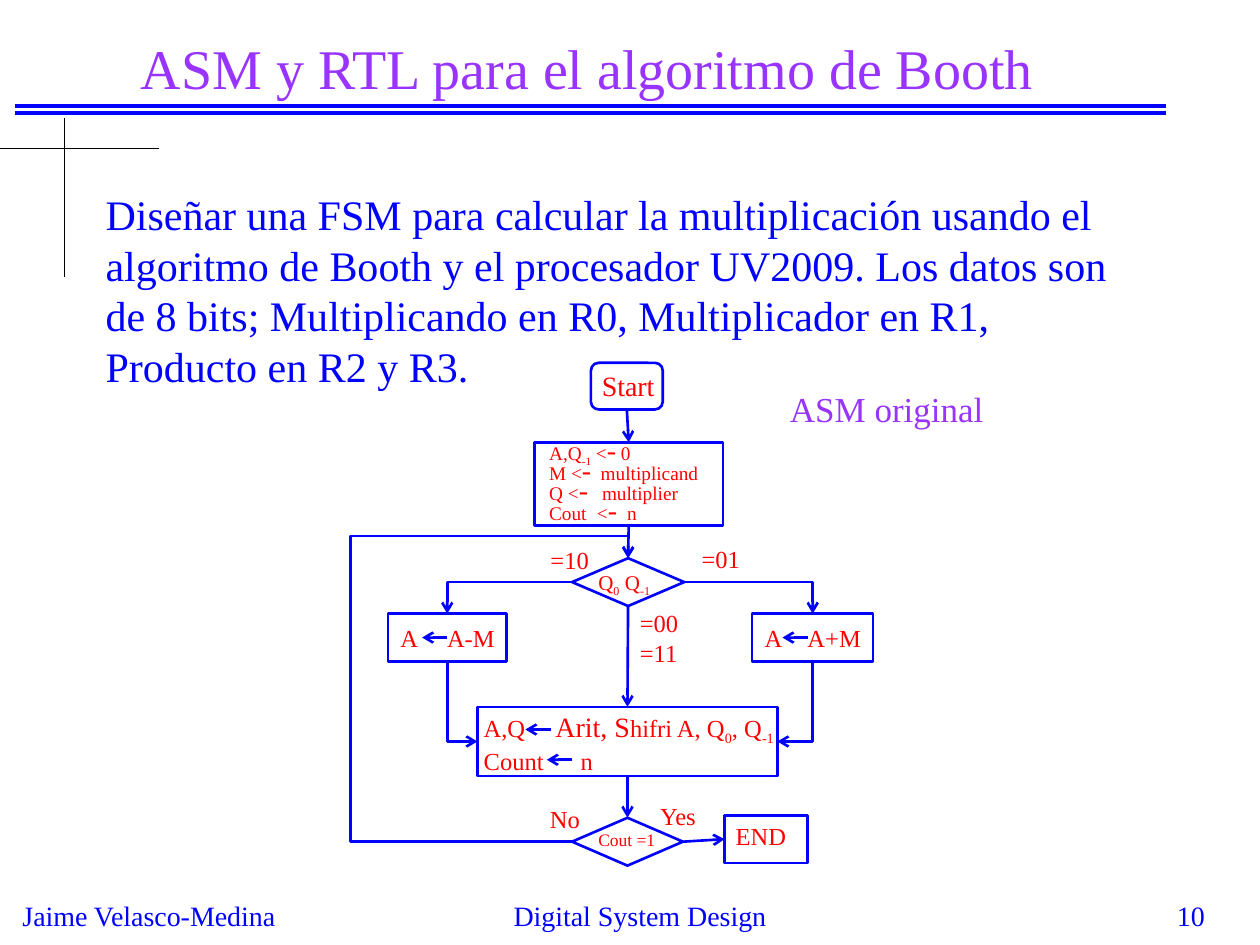
"""Build the slide on the ASM chart of Booth's algorithm."""
from lxml import etree
from pptx import Presentation
from pptx.dml.color import RGBColor
from pptx.enum import shapes, text
from pptx.oxml import ns

PX = 9144
FONT = "Times New Roman"
HUE = {"blue": "0000FF", "red": "FF0000", "plum": "9933FF", "black": "000000"}
LEFT, MID = text.PP_ALIGN.LEFT, text.PP_ALIGN.CENTER
RIGHT, JUST = text.PP_ALIGN.RIGHT, text.PP_ALIGN.JUSTIFY
STEP, BEND = shapes.MSO_CONNECTOR.STRAIGHT, shapes.MSO_CONNECTOR.ELBOW
KIND = shapes.MSO_SHAPE

deck = Presentation()
deck.slide_width, deck.slide_height = 1000 * PX, 750 * PX
slide = deck.slides.add_slide(deck.slide_layouts[6])
tree = slide.shapes


def put(box, lines, size, hue="red", align=LEFT, space=None):
    """Add a text box; a line is a list of runs and its tab stops."""
    frame = tree.add_textbox(*[n * PX for n in box]).text_frame
    frame.word_wrap = True
    for i, (runs, stops) in enumerate(lines):
        para = frame.add_paragraph() if i else frame.paragraphs[0]
        if stops:
            tabs = etree.SubElement(para._p.get_or_add_pPr(), ns.qn("a:tabLst"))
            for stop in stops:
                etree.SubElement(tabs, ns.qn("a:tab"), pos=str(stop * PX), algn="l")
        para.alignment = align
        if space:
            para.line_spacing = space
        para.font.name = FONT
        para.font.size = size * 12700
        para.font.color.rgb = RGBColor.from_string(HUE[hue])
        for words, *style in runs:
            run = para.add_run()
            run.text = words
            if "sub" in style:
                run._r.get_or_add_rPr().set("baseline", "-25000")
            elif style:
                run.font.size = style[0] * 12700


def link(kind, ends, hue="blue", width=1.5, tip=None):
    """Add a line between two points, with an arrowhead at the named end."""
    line = tree.add_connector(kind, *[n * PX for n in ends])
    line.line.color.rgb = RGBColor.from_string(HUE[hue])
    line.line.width = int(width * 12700)
    if tip:
        etree.SubElement(line.line._get_or_add_ln(), ns.qn("a:" + tip), type="arrow")
    etree.SubElement(line._element.spPr, ns.qn("a:effectLst"))
    return line


for y in (84, 90):
    link(STEP, (12, y, 925, y), width=2.25)
for ends in ((0, 118, 126, 118), (51, 94, 51, 220)):
    link(STEP, ends, "black", 0.75)

node = {}
for name, kind, box in (
    ("start", KIND.ROUNDED_RECTANGLE, (469, 288, 57, 37)),
    ("init", KIND.RECTANGLE, (424, 351, 150, 66)),
    ("test", KIND.DIAMOND, (454, 443, 89, 38)),
    ("sub", KIND.RECTANGLE, (308, 487, 94, 38)),
    ("add", KIND.RECTANGLE, (597, 487, 96, 38)),
    ("shift", KIND.RECTANGLE, (379, 561, 238, 55)),
    ("done", KIND.DIAMOND, (454, 649, 88, 38)),
    ("end", KIND.RECTANGLE, (575, 647, 66, 38)),
):
    item = tree.add_shape(kind, *[n * PX for n in box])
    item.shadow.inherit = False
    item.fill.background()
    item.line.color.rgb = RGBColor.from_string(HUE["blue"])
    item.line.width = 19050
    node[name] = item

for kind, src, out, dst, into, tip in (
    (STEP, "start", 2, "init", 0, "tailEnd"),
    (STEP, "init", 2, "test", 0, "tailEnd"),
    (STEP, "test", 2, "shift", 0, "tailEnd"),
    (STEP, "shift", 2, "done", 0, "tailEnd"),
    (STEP, "done", 3, "end", 1, "tailEnd"),
    (BEND, "test", 1, "sub", 0, "tailEnd"),
    (BEND, "test", 3, "add", 0, "tailEnd"),
    (BEND, "shift", 1, "sub", 2, "headEnd"),
    (BEND, "shift", 3, "add", 2, "headEnd"),
    (BEND, "done", 1, "test", 0, "tailEnd"),
):
    line = link(kind, (0, 0, 0, 0), tip=tip)
    line.begin_connect(node[src], out)
    line.end_connect(node[dst], into)
    if kind == BEND:
        geom = line._element.spPr.find(ns.qn("a:prstGeom"))
        geom.set("prst", "bentConnector2")
        if src == "done":
            geom.set("prst", "bentConnector4")
            guides = geom.get_or_add_avLst()
            for name, val in (("adj1", -395000), ("adj2", 107800)):
                etree.SubElement(guides, ns.qn("a:gd"), name=name, fmla=f"val {val}")

for x, y in ((355, 506), (641, 506), (437, 579), (454, 603)):
    link(STEP, (x, y, x - 20, y), tip="tailEnd")

for box, words, size, hue, align in (
    ((8, 708, 224, 37), "Jaime Velasco-Medina", 16, "blue", LEFT),
    ((333, 708, 350, 33), "Digital System Design", 16, "blue", MID),
    ((758, 708, 208, 25), "10", 16, "blue", RIGHT),
    ((102, 22, 748, 64), "ASM y RTL para el algoritmo de Booth", 32, "plum", LEFT),
    ((74, 145, 850, 172), "Diseñar una FSM para calcular la multiplicación usando el "
     "algoritmo de Booth y el procesador UV2009. Los datos son de 8 bits; "
     "Multiplicando en R0, Multiplicador en R1, Producto en R2 y R3.",
     24, "blue", LEFT),
    ((617, 303, 229, 44), "ASM original", 20, "plum", LEFT),
    ((454, 288, 89, 37), "Start", 16, "red", MID),
    ((465, 653, 71, 27), "Cout =1", 10, "red", LEFT),
    ((574, 647, 67, 34), "END", 14, "red", LEFT),
    ((514, 631, 67, 34), "Yes", 14, "red", LEFT),
    ((402, 633, 68, 34), "No", 14, "red", RIGHT),
    ((547, 427, 67, 34), "=01", 14, "red", LEFT),
    ((427, 428, 68, 34), "=10", 14, "red", LEFT),
):
    put(box, [([(words,)], ())], size, hue, align)

put((498, 478, 68, 57), [([("=00",)], ()), ([("=11",)], ())], 14)
put((465, 447, 71, 30), [([("Q",), ("0", "sub"), (" Q",), ("-1", "sub")], ())], 12)
put((308, 487, 100, 37), [([("A",), ("\t", 16), ("A-M",)], (37,))], 14)
put((597, 487, 107, 37), [([("A",), ("\t", 16), ("A+M",)], (34,))], 14)
put((426, 347, 190, 75), [
    ([("A,Q",), ("-1", "sub"), (" <",), ("-", 16), (" 0",)], ()),
    ([("M <",), ("-", 16), ("\tmultiplicand",)], (41,)),
    ([("Q <",), ("-", 16), ("\tmultiplier",)], (42,)),
    ([("Cout\t<",), ("-", 16), ("\tn",)], (38, 62)),
], 11, align=JUST, space=0.6)
put((374, 558, 262, 61), [
    ([("A,Q\t",), ("Arit, S", 16), ("hifri A, Q",), ("0", "sub"), (", Q",),
      ("-1", "sub")], (57,)),
    ([("Count\tn",)], (77,)),
], 14)

deck.save("out.pptx")
